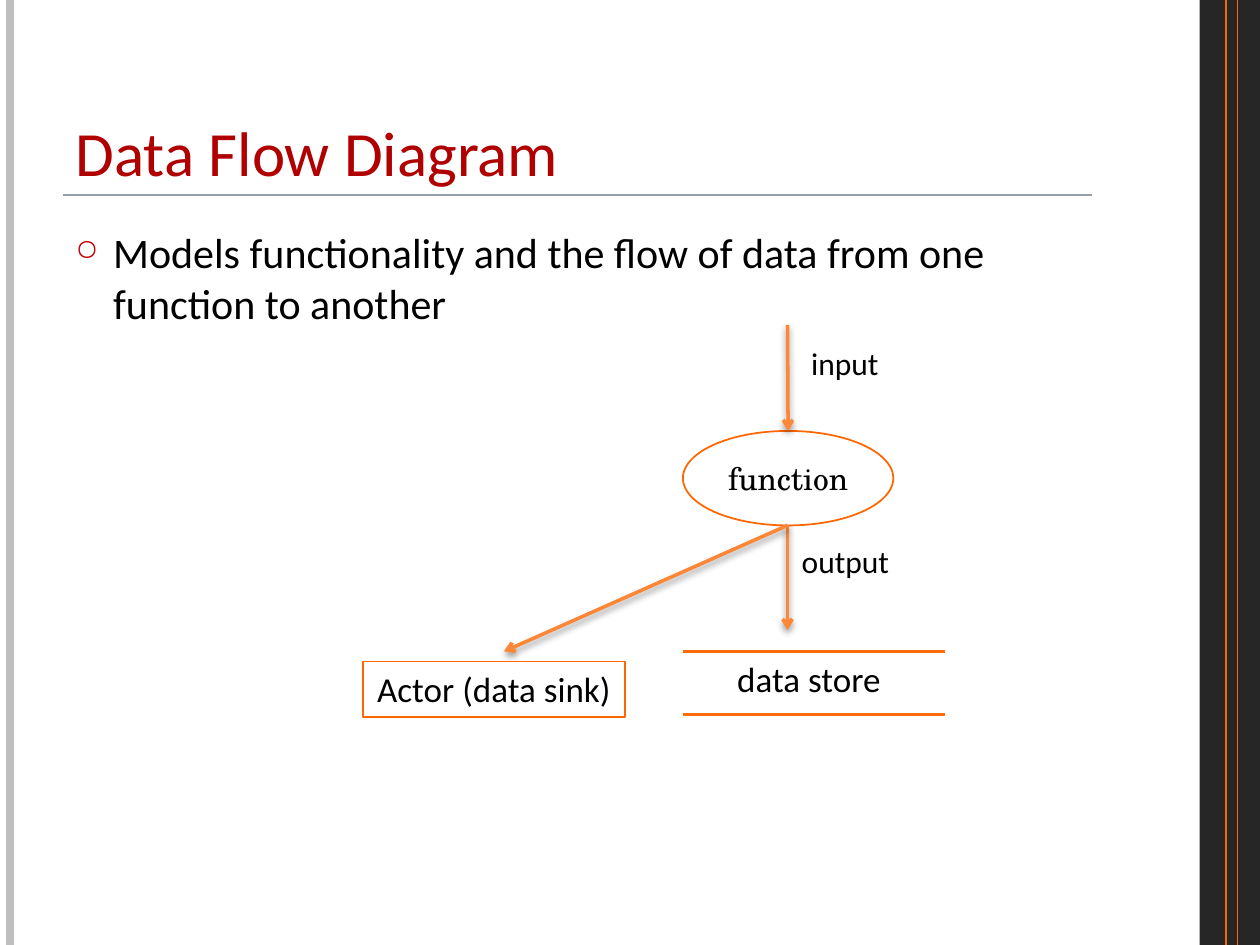
from typing import NamedTuple, Optional

from lxml import etree
from pptx import Presentation
from pptx.dml.color import RGBColor
from pptx.enum.shapes import MSO_CONNECTOR, MSO_SHAPE
from pptx.enum.text import MSO_ANCHOR, MSO_AUTO_SIZE, PP_ALIGN
from pptx.oxml.ns import qn
from pptx.util import Inches, Pt

STRAIGHT = MSO_CONNECTOR.STRAIGHT
RECT, OVAL = MSO_SHAPE.RECTANGLE, MSO_SHAPE.OVAL
LEFT, CENTER = PP_ALIGN.LEFT, PP_ALIGN.CENTER
TOP, MIDDLE, BOTTOM = MSO_ANCHOR.TOP, MSO_ANCHOR.MIDDLE, MSO_ANCHOR.BOTTOM

SANS, SERIF = "Calibri", "TeX Gyre Schola"
BLACK, WHITE, ORANGE, FLOW, STORE = "000000", "FFFFFF", "FF6600", "FE8637", "FF6B0A"


class Box(NamedTuple):
    left: float
    top: float
    width: float
    height: float


class Rule(NamedTuple):
    start: tuple[float, float]
    end: tuple[float, float]
    color: str
    width: float


class Label(NamedTuple):
    text: str
    size: float
    font: str = SANS
    color: str = BLACK


def rgb(color: str) -> RGBColor:
    return RGBColor.from_string(color)


def place(shape, box: Box) -> None:
    shape.left, shape.top, shape.width, shape.height = map(Inches, box)


def write(shape, label: Label, align=CENTER, anchor=TOP, wrap: bool = True):
    frame = shape.text_frame
    frame.word_wrap = wrap
    frame.auto_size = MSO_AUTO_SIZE.NONE
    frame.vertical_anchor = anchor
    paragraph = frame.paragraphs[0]
    paragraph.alignment = align
    run = paragraph.add_run()
    run.text = label.text
    run.font.size = Pt(label.size)
    run.font.name = label.font
    run.font.color.rgb = rgb(label.color)
    return paragraph


def draw_shape(shapes, kind, box: Box, fill: str,
               line: Optional[str] = None, width: float = 1):
    shape = shapes.add_shape(kind, *map(Inches, box))
    shape.shadow.inherit = False
    shape.fill.solid()
    shape.fill.fore_color.rgb = rgb(fill)
    if line:
        shape.line.color.rgb = rgb(line)
        shape.line.width = Pt(width)
    else:
        shape.line.fill.background()
    return shape


def draw_text(shapes, box: Box, label: Label, **layout):
    return write(shapes.add_textbox(*map(Inches, box)), label, **layout)


def draw_line(shapes, rule: Rule, arrow: bool = False):
    line = shapes.add_connector(STRAIGHT, *map(Inches, rule.start + rule.end))
    line.line.color.rgb = rgb(rule.color)
    line.line.width = Pt(rule.width)
    properties = line._element.spPr
    effects = etree.SubElement(properties, qn("a:effectLst"))
    if arrow:
        etree.SubElement(properties.find(qn("a:ln")), qn("a:tailEnd"), type="arrow")
        shadow = etree.SubElement(effects, qn("a:outerShdw"), blurRad=str(Pt(4)),
                                  dist=str(Pt(2)), dir="5400000", rotWithShape="0")
        tint = etree.SubElement(shadow, qn("a:srgbClr"), val=BLACK)
        etree.SubElement(tint, qn("a:alpha"), val="40000")
    return line


def add_bullet(paragraph, sign: str, color: str, percent: int, indent: float) -> None:
    properties = paragraph._p.get_or_add_pPr()
    properties.set("marL", str(Inches(indent)))
    properties.set("indent", str(-Inches(indent)))
    bullet_color = etree.SubElement(properties, qn("a:buClr"))
    etree.SubElement(bullet_color, qn("a:srgbClr"), val=color)
    etree.SubElement(properties, qn("a:buSzPct"), val=str(percent * 1000))
    etree.SubElement(properties, qn("a:buChar"), char=sign)


def draw_frame(shapes) -> None:
    draw_shape(shapes, RECT, Box(9.52, 0, 0.48, 7.5), "262626")
    for x, color, width in ((0.08, "BFBFBF", 4.5), (9.73, ORANGE, 0.75),
                            (9.82, ORANGE, 0.75)):
        draw_line(shapes, Rule((x, 0), (x, 7.5), color, width))
    draw_line(shapes, Rule((0.5, 1.55), (8.67, 1.55), "969EAB", 1))


def draw_diagram(shapes) -> None:
    center, function_top, function_bottom = 6.25, 3.42, 4.17
    function = draw_shape(shapes, OVAL, Box(5.42, function_top, 1.67, 0.75),
                          WHITE, ORANGE)
    write(function, Label("function", 18, SERIF), anchor=MIDDLE)

    # Data flows into and out of the function
    source, outlet = (center, 2.58), (center, function_bottom)
    inflow = draw_line(shapes, Rule(source, (center, function_top), FLOW, 2), arrow=True)
    inflow.end_connect(function, 0)
    draw_line(shapes, Rule(outlet, (center, 5), FLOW, 2), arrow=True)
    draw_text(shapes, Box(6.33, 2.68, 0.75, 0.4), Label("input", 18), wrap=False)
    draw_text(shapes, Box(6.26, 4.25, 0.9, 0.4), Label("output", 18), wrap=False)

    # Data store between two rules
    store = shapes.add_group_shape().shapes
    store_name = draw_shape(store, RECT, Box(5.42, 5.17, 2, 0.44), WHITE)
    write(store_name, Label("data store", 20))
    for y in (5.17, 5.67):
        draw_line(store, Rule((5.42, y), (7.5, y), STORE, 2))

    # Data sink
    draw_line(shapes, Rule(outlet, (4, 5.17), FLOW, 2), arrow=True)
    actor = draw_shape(shapes, RECT, Box(2.88, 5.25, 2.08, 0.44), WHITE, ORANGE, 0.75)
    write(actor, Label("Actor (data sink)", 20), wrap=False)


def main() -> None:
    deck = Presentation()
    deck.slide_width, deck.slide_height = Inches(10), Inches(7.5)
    slide = deck.slides.add_slide(deck.slide_layouts[5])
    shapes = slide.shapes

    draw_frame(shapes)

    # Title and statement
    place(shapes.title, Box(0.5, 0.3, 8.17, 1.25))
    write(shapes.title, Label("Data Flow Diagram", 36, color="B00000"),
          align=LEFT, anchor=BOTTOM)
    statement = draw_text(
        shapes, Box(0.5, 1.75, 8.17, 5.33),
        Label("Models functionality and the flow of data from one function to another", 24),
        align=LEFT)
    statement.space_before = Pt(6)
    add_bullet(statement, "○", "C00000", 70, 0.3)

    draw_diagram(shapes)
    deck.save("out.pptx")


if __name__ == "__main__":
    main()
